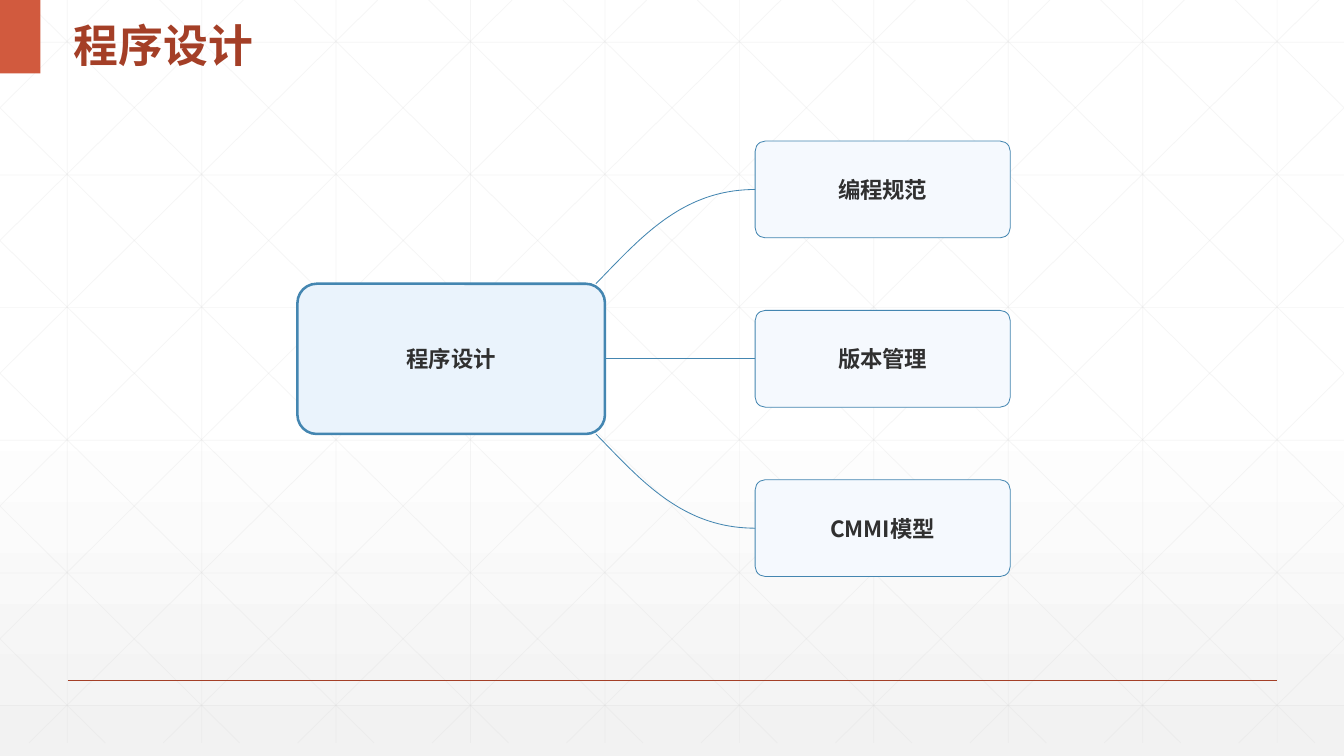
from dataclasses import dataclass

from lxml.etree import SubElement
from pptx import Presentation
from pptx.dml.color import RGBColor
from pptx.enum.shapes import MSO_CONNECTOR as Connector, MSO_SHAPE as Shape
from pptx.enum.text import MSO_ANCHOR as Anchor, MSO_AUTO_SIZE as AutoSize, PP_ALIGN as Align
from pptx.oxml.ns import qn
from pptx.util import Inches, Pt

TITLE = "程序设计"
ROOT = "程序设计"
BRANCHES = ["编程规范", "版本管理", "CMMI模型"]


@dataclass(frozen=True)
class Theme:
    """Colours, fonts and sizes of the slide."""
    white: str = "FFFFFF"
    mist: str = "F2F2F2"
    grid: str = "D9D9D9"
    accent: str = "D15A3E"
    title: str = "A43F27"
    branch: str = "4486B1"
    root_fill: str = "EAF3FC"
    leaf_fill: str = "F5F9FE"
    ink: str = "303030"
    title_font: str = "Arial"
    body_font: str = "Noto Sans CJK SC"
    title_size: int = 32
    body_size: int = 16


THEME = Theme()
WIDTH, HEIGHT = 13.33, 7.5
GRID_BOTTOM = 7.37
COLUMN_STEP, ROW_STEP = 4 / 3, 1.316
DIAGONAL_RUN = 7.46
ROOT_LEFT, ROOT_WIDTH, ROOT_HEIGHT = 2.95, 3.05, 1.49
LEAF_LEFT, LEAF_WIDTH, LEAF_HEIGHT = 7.49, 2.53, 0.96
LEAF_STEP, MIDDLE = 1.68, 3.56
CURVE_STEPS = 40


def color(code):
    """Return the colour for a hex code."""
    return RGBColor.from_string(code)


def write(box, text, *, size, font, ink, align, spacing=None):
    """Put one bold formatted paragraph into a box."""
    frame = box.text_frame
    frame.word_wrap = True
    frame.auto_size = AutoSize.NONE
    frame.vertical_anchor = Anchor.MIDDLE
    para = frame.paragraphs[0]
    para.alignment = align
    para.line_spacing = spacing
    span = para.add_run()
    span.text = text
    span.font.size = Pt(size)
    span.font.name = font
    span.font.bold = True
    span.font.color.rgb = color(ink)
    for props in box.element.iter(qn("a:rPr")):
        SubElement(props, qn("a:ea"), typeface=THEME.body_font)


def add_line(page, start, end, *, ink, width, opacity=100):
    """Draw a straight line without shadow."""
    points = [Inches(value) for value in (*start, *end)]
    line = page.shapes.add_connector(Connector.STRAIGHT, *points)
    line.line.color.rgb = color(ink)
    line.line.width = Pt(width)
    if opacity < 100:
        for shade in line.element.iter(qn("a:srgbClr")):
            SubElement(shade, qn("a:alpha"), val=str(opacity * 1000))
    SubElement(line.element.spPr, qn("a:effectLst"))
    return line


def add_grid(page):
    """Draw the faint upright, level and diagonal background lines."""
    lines = []
    for column in range(10):
        x = (column + 0.5) * COLUMN_STEP
        lines.append(((x, 0), (x, GRID_BOTTOM)))
    for row in range(6):
        y = 0.42 + row * ROW_STEP
        lines.append(((0, y), (WIDTH, y)))
    slope = GRID_BOTTOM / DIAGONAL_RUN
    for index in range(-5, 10):
        origin = 0.25 + index * COLUMN_STEP
        left, right = max(origin, 0), min(origin + DIAGONAL_RUN, WIDTH)
        top, bottom = (left - origin) * slope, (right - origin) * slope
        lines.append(((left, top), (right, bottom)))
        lines.append(((WIDTH - left, top), (WIDTH - right, bottom)))
    for start, end in lines:
        add_line(page, start, end, ink=THEME.grid, width=0.5, opacity=25)


def add_node(page, text, left, middle, width, height, *, fill, border, radius):
    """Draw a rounded box centred on a height, with its label."""
    box = page.shapes.add_shape(Shape.ROUNDED_RECTANGLE, Inches(left), Inches(middle - height / 2),
                                Inches(width), Inches(height))
    box.adjustments[0] = radius / height
    box.shadow.inherit = False
    box.fill.solid()
    box.fill.fore_color.rgb = color(fill)
    box.line.color.rgb = color(THEME.branch)
    box.line.width = Pt(border)
    frame = box.text_frame
    frame.margin_left = frame.margin_right = frame.margin_top = frame.margin_bottom = 0
    write(box, text, size=THEME.body_size, font=THEME.body_font, ink=THEME.ink, align=Align.CENTER)
    return box


def add_curve(page, controls):
    """Draw an open cubic curve through sampled points."""
    points = []
    for step in range(CURVE_STEPS + 1):
        t = step / CURVE_STEPS
        weights = ((1 - t) ** 3, 3 * t * (1 - t) ** 2, 3 * t ** 2 * (1 - t), t ** 3)
        points.append(tuple(Inches(sum(w * c for w, c in zip(weights, axis)))
                            for axis in zip(*controls)))
    builder = page.shapes.build_freeform(*points[0])
    builder.add_line_segments(points[1:], close=False)
    curve = builder.convert_to_shape()
    curve.shadow.inherit = False
    curve.fill.background()
    curve.line.color.rgb = color(THEME.branch)
    curve.line.width = Pt(0.6)


def add_mind_map(page):
    """Draw the root, its branches and the links between them."""
    root = add_node(page, ROOT, ROOT_LEFT, MIDDLE, ROOT_WIDTH, ROOT_HEIGHT,
                    fill=THEME.root_fill, border=1.8, radius=0.19)
    for index, text in enumerate(BRANCHES):
        side = index - (len(BRANCHES) - 1) / 2
        middle = MIDDLE + side * LEAF_STEP
        leaf = add_node(page, text, LEAF_LEFT, middle, LEAF_WIDTH, LEAF_HEIGHT,
                        fill=THEME.leaf_fill, border=0.6, radius=0.1)
        if side:
            edge = MIDDLE + side * ROOT_HEIGHT / 2
            add_curve(page, [(5.91, edge), (6.35, edge + side * 0.45), (6.76, middle),
                             (LEAF_LEFT, middle)])
        else:
            link = add_line(page, (ROOT_LEFT + ROOT_WIDTH, middle), (LEAF_LEFT, middle),
                            ink=THEME.branch, width=0.6)
            link.begin_connect(root, 3)
            link.end_connect(leaf, 1)


def add_frame(page):
    """Set the background, the accent block, the foot rule and the title."""
    fill = page.background.fill
    fill.gradient()
    fill.gradient_angle = 270
    for stop, place, code in zip(fill.gradient_stops, (0.53, 1), (THEME.white, THEME.mist)):
        stop.position = place
        stop.color.rgb = color(code)
    add_grid(page)
    add_line(page, (0.67, 6.75), (12.67, 6.75), ink=THEME.title, width=1)
    block = page.shapes.add_shape(Shape.RECTANGLE, 0, 0, Inches(0.4), Inches(0.73))
    block.shadow.inherit = False
    block.fill.solid()
    block.fill.fore_color.rgb = color(THEME.accent)
    block.line.fill.background()
    title = page.shapes.title
    title.left, title.top, title.width, title.height = Inches(0.63), 0, Inches(5.69), Inches(0.73)
    write(title, TITLE, size=THEME.title_size, font=THEME.title_font, ink=THEME.title,
          align=Align.LEFT, spacing=1.3)
    block.element.addnext(title.element)


def main():
    """Build and save the slide."""
    deck = Presentation()
    deck.slide_width, deck.slide_height = Inches(WIDTH), Inches(HEIGHT)
    page = deck.slides.add_slide(deck.slide_layouts[5])
    add_frame(page)
    add_mind_map(page)
    deck.save("out.pptx")


if __name__ == "__main__":
    main()
